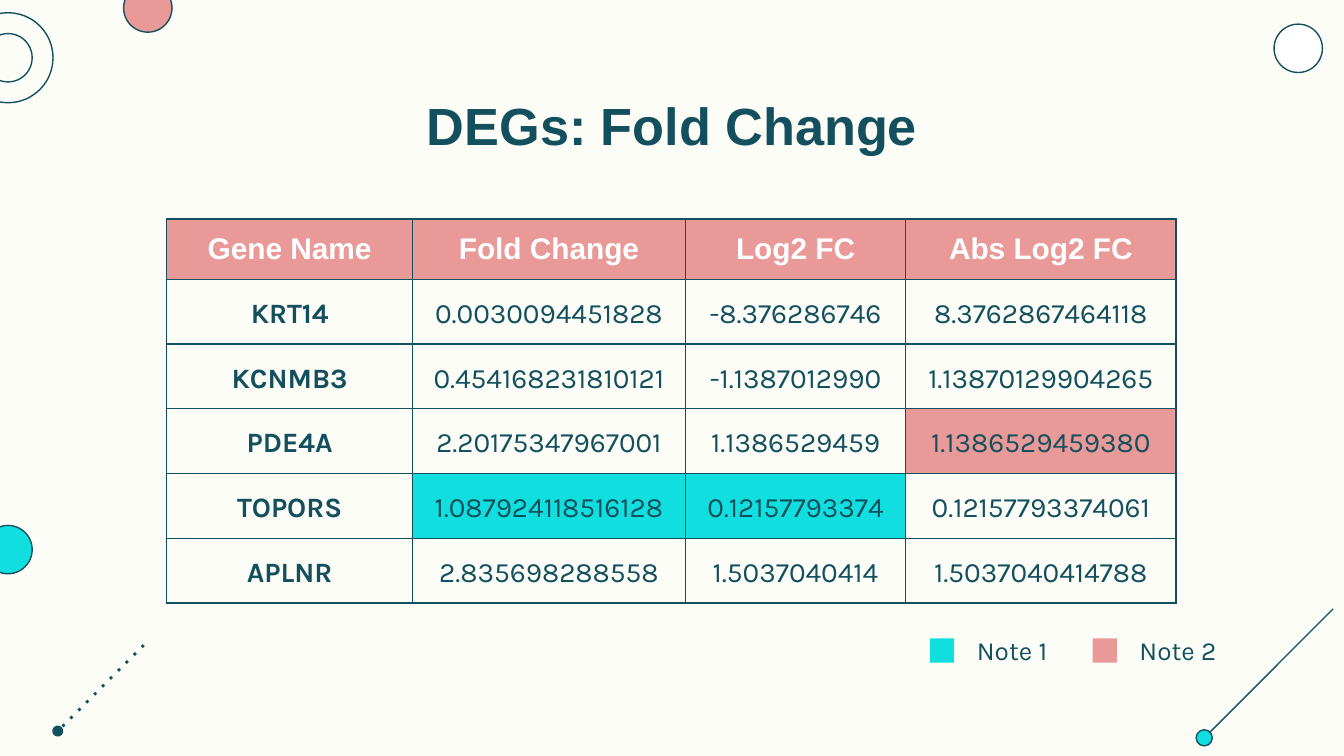
from dataclasses import dataclass
from typing import Optional

from pptx import Presentation
from pptx.dml.color import RGBColor
from pptx.enum.shapes import MSO_CONNECTOR, MSO_SHAPE
from pptx.enum.text import MSO_ANCHOR, MSO_AUTO_SIZE, PP_ALIGN
from pptx.oxml import parse_xml
from pptx.oxml.ns import nsdecls, qn
from pptx.util import Inches, Pt

CREAM = RGBColor(0xFD, 0xFD, 0xF8)
TEAL = RGBColor(0x13, 0x4F, 0x5C)
PINK = RGBColor(0xEA, 0x99, 0x99)
CYAN = RGBColor(0x11, 0xDF, 0xDF)
WHITE = RGBColor(0xFF, 0xFF, 0xFF)
HEADING_FONT = "Arial"
BODY_FONT = "Karla"
INSET = Inches(0.1)
THIN = Pt(0.75)


@dataclass(frozen=True)
class Circle:
    center_x: float
    center_y: float
    size: float
    fill: Optional[RGBColor] = None


@dataclass(frozen=True)
class LegendEntry:
    left: float
    label: str
    color: RGBColor


CIRCLES = [
    Circle(1.1, 0.06, 0.36, PINK),
    Circle(0.06, 0.43, 0.67),
    Circle(0.06, 0.43, 0.36),
    Circle(8.96, 5.49, 0.12, CYAN),
    Circle(0.06, 4.09, 0.36, CYAN),
    Circle(9.66, 0.36, 0.36, WHITE),
]
LEGEND = [LegendEntry(6.92, "Note 1", CYAN), LegendEntry(8.13, "Note 2", PINK)]

COLUMN_WIDTHS = [1.83, 2.03, 1.64, 2.01]
ROW_HEIGHT = 0.42
GENE_ROWS = [
    ["Gene Name", "Fold Change", "Log2 FC", "Abs Log2 FC"],
    ["KRT14", "0.0030094451828", "-8.376286746", "8.3762867464118"],
    ["KCNMB3", "0.454168231810121", "-1.1387012990", "1.13870129904265"],
    ["PDE4A", "2.20175347967001", "1.1386529459", "1.1386529459380"],
    ["TOPORS", "1.087924118516128", "0.12157793374", "0.12157793374061"],
    ["APLNR", "2.835698288558", "1.5037040414", "1.5037040414788"],
]
HIGHLIGHTS = {(3, 3): PINK, (4, 1): CYAN, (4, 2): CYAN}


def add_span(para, text: str, font: str, size: float, color: RGBColor, bold: bool = False) -> None:
    span = para.add_run()
    span.text = text
    span.font.name = font
    span.font.size = Pt(size)
    span.font.bold = bold
    span.font.color.rgb = color


def set_insets(frame) -> None:
    frame.margin_left = frame.margin_right = INSET
    frame.margin_top = frame.margin_bottom = INSET
    frame.word_wrap = True


def set_fill(fill, color: Optional[RGBColor]) -> None:
    if color is None:
        fill.background()
    else:
        fill.solid()
        fill.fore_color.rgb = color


def add_circle(page, circle: Circle) -> None:
    shape = page.shapes.add_shape(
        MSO_SHAPE.OVAL,
        Inches(circle.center_x - circle.size / 2), Inches(circle.center_y - circle.size / 2),
        Inches(circle.size), Inches(circle.size))
    shape.shadow.inherit = False
    set_fill(shape.fill, circle.fill)
    shape.line.color.rgb = TEAL
    shape.line.width = THIN


def add_line(page, start: tuple[float, float], end: tuple[float, float], width=THIN):
    line = page.shapes.add_connector(
        MSO_CONNECTOR.STRAIGHT, *(Inches(value) for value in start + end))
    line.line.color.rgb = TEAL
    line.line.width = width
    line._element.spPr.append(parse_xml(f"<a:effectLst {nsdecls('a')}/>"))
    return line


def add_dotted_line(page) -> None:
    line = add_line(page, (1.07, 4.8), (0.43, 5.44), Pt(1.5))
    outline = line._element.spPr.find(qn("a:ln"))
    outline.append(parse_xml(f'<a:prstDash {nsdecls("a")} val="dot"/>'))
    outline.append(parse_xml(f'<a:tailEnd {nsdecls("a")} type="oval"/>'))


def add_title(page) -> None:
    title = page.shapes.title
    title.left, title.top = Inches(0.78), Inches(0.59)
    title.width, title.height = Inches(8.44), Inches(0.66)
    frame = title.text_frame
    set_insets(frame)
    frame.auto_size = MSO_AUTO_SIZE.NONE
    frame.vertical_anchor = MSO_ANCHOR.TOP
    para = frame.paragraphs[0]
    para.alignment = PP_ALIGN.CENTER
    add_span(para, "DEGs: Fold Change", HEADING_FONT, 28, TEAL, bold=True)


def set_borders(cell) -> None:
    properties = cell._tc.get_or_add_tcPr()
    for index, side in enumerate(("lnL", "lnR", "lnT", "lnB")):
        properties.insert(index, parse_xml(
            f'<a:{side} {nsdecls("a")} w="{THIN}"><a:solidFill>'
            f'<a:srgbClr val="{TEAL}"/></a:solidFill></a:{side}>'))


def add_gene_table(page) -> None:
    table = page.shapes.add_table(
        len(GENE_ROWS), len(COLUMN_WIDTHS), Inches(1.24), Inches(1.63),
        Inches(sum(COLUMN_WIDTHS)), Inches(ROW_HEIGHT * len(GENE_ROWS))).table
    table.horz_banding = False
    for column, width in zip(table.columns, COLUMN_WIDTHS):
        column.width = Inches(width)
    for row_index, values in enumerate(GENE_ROWS):
        is_header = row_index == 0
        for column_index, value in enumerate(values):
            cell = table.cell(row_index, column_index)
            cell.margin_left = cell.margin_right = INSET
            cell.margin_top = cell.margin_bottom = INSET
            set_fill(cell.fill, PINK if is_header else HIGHLIGHTS.get((row_index, column_index)))
            set_borders(cell)
            para = cell.text_frame.paragraphs[0]
            para.alignment = PP_ALIGN.CENTER
            if is_header:
                add_span(para, value, HEADING_FONT, 16, WHITE, bold=True)
            else:
                para.line_spacing = 1.15
                add_span(para, value, BODY_FONT, 15, TEAL, bold=column_index == 0)


def add_legend_entry(page, entry: LegendEntry) -> None:
    swatch = page.shapes.add_shape(
        MSO_SHAPE.RECTANGLE, Inches(entry.left), Inches(4.75), Inches(0.18), Inches(0.18))
    swatch.shadow.inherit = False
    set_fill(swatch.fill, entry.color)
    swatch.line.fill.background()
    box = page.shapes.add_textbox(
        Inches(entry.left + 0.25), Inches(4.7), Inches(0.84), Inches(0.27))
    set_insets(box.text_frame)
    box.text_frame.vertical_anchor = MSO_ANCHOR.MIDDLE
    add_span(box.text_frame.paragraphs[0], entry.label, BODY_FONT, 14, TEAL)


def main() -> None:
    deck = Presentation()
    deck.slide_width = Inches(10)
    deck.slide_height = deck.slide_width * 9 // 16
    page = deck.slides.add_slide(deck.slide_layouts[5])
    set_fill(page.background.fill, CREAM)

    # Corner decorations
    add_dotted_line(page)
    for circle in CIRCLES:
        add_circle(page, circle)
    add_line(page, (9, 5.45), (9.92, 4.53))

    # Title, table and legend
    add_title(page)
    add_gene_table(page)
    for entry in LEGEND:
        add_legend_entry(page, entry)

    deck.save("out.pptx")


if __name__ == "__main__":
    main()
